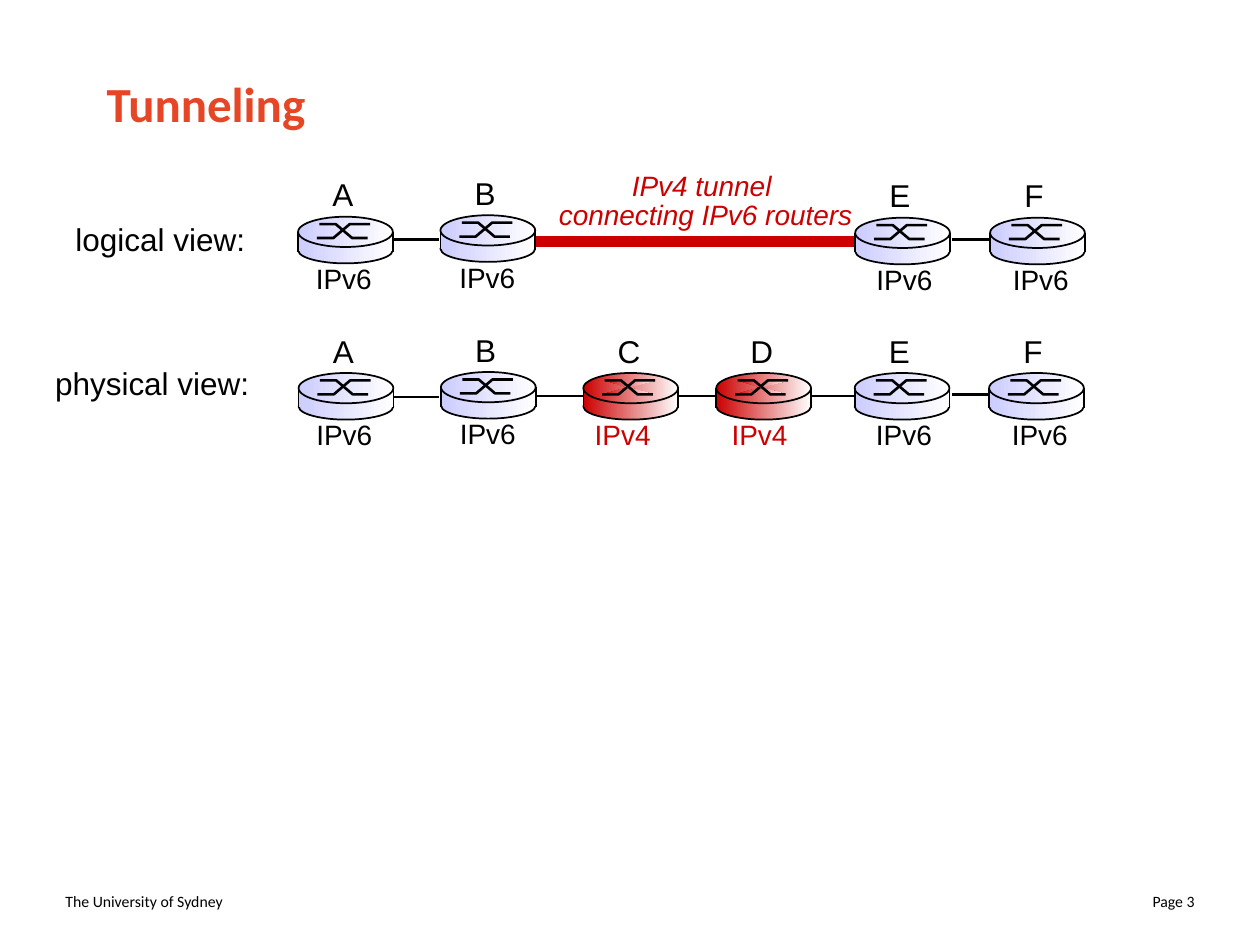
"""Build the tunneling slide with its logical and physical views."""
from lxml.etree import SubElement
from pptx import Presentation
from pptx.dml.color import RGBColor as RGB
from pptx.enum.shapes import MSO_CONNECTOR as LINK, MSO_SHAPE as SHAPE
from pptx.enum.text import MSO_ANCHOR as ANCHOR, MSO_AUTO_SIZE as AUTO, PP_ALIGN as ALIGN
from pptx.oxml.ns import qn
from pptx.util import Cm, Pt

HUES = {"ink": "000000", "red": "CC0000", "blue": "CCCCFF",
        "white": "FFFFFF", "title": "E64626"}
WIDE = 1.91
CROSS = (((0.38, 0.43), (0.71, 0.43), (1.04, 0.15), (1.45, 0.15)),
         ((0.43, 0.15), (0.76, 0.15), (1.09, 0.43), (1.4, 0.43)))
LOGIC = (("A", 6.01, 4.37, 0.93), ("B", 8.88, 4.34, 0.95),
         ("E", 17.24, 4.39, 1.0), ("F", 19.96, 4.39, 1.03))
REAL = (("A", 6.02, 7.52, 0.93), ("B", 8.89, 7.5, 0.95),
        ("C", 11.76, 7.52, 0.8), ("D", 14.44, 7.52, 0.88),
        ("E", 17.23, 7.52, 1.0), ("F", 19.94, 7.52, 1.03))


def hue(name):
    return RGB.from_string(HUES[name])


def text(shapes, words, box, size=18, font="Arial", color="ink", bold=False,
         italic=False, align=ALIGN.LEFT, space=None, wrap=False):
    item = shapes.add_textbox(*map(Cm, box))
    frame = item.text_frame
    frame.word_wrap = wrap
    if wrap:
        frame.vertical_anchor = ANCHOR.MIDDLE
    else:
        frame.auto_size = AUTO.SHAPE_TO_FIT_TEXT
    frame.text = words
    for para in frame.paragraphs:
        para.alignment = align
        para.line_spacing = space
        style = para.runs[0].font
        style.name, style.size = font, Pt(size)
        style.bold, style.italic = bold, italic
        style.color.rgb = hue(color)


def stroke(item, color="ink", width=1):
    item.line.color.rgb = hue(color)
    item.line.width = Pt(width)


def line(shapes, start, end, width=1.5):
    item = shapes.add_connector(LINK.STRAIGHT, *map(Cm, start + end))
    stroke(item, width=width)
    SubElement(item._element.spPr, qn("a:effectLst"))


def fade(item, color):
    item.shadow.inherit = False
    item.fill.gradient()
    item.fill.gradient_angle = 0
    for stop, name in zip(item.fill.gradient_stops, (color, "white")):
        stop.color.rgb = hue(name)


def part(shapes, kind, box, color, edge=True):
    item = shapes.add_shape(kind, *map(Cm, box))
    fade(item, color)
    if edge:
        stroke(item)
    else:
        item.line.fill.background()


def bend(shapes, x, y, points, color):
    spots = [(Cm(x + dx), Cm(y + dy)) for dx, dy in points]
    pen = shapes.build_freeform(*spots[0])
    pen.add_line_segments(spots[1:], close=False)
    item = pen.convert_to_shape()
    item.shadow.inherit = False
    if color == "red":
        fade(item, color)
    else:
        item.fill.background()
    stroke(item, width=1.5)


def router(shapes, name, x, y, mid):
    old = name in "CD"
    color = "red" if old else "blue"
    body = shapes.add_group_shape().shapes
    part(body, SHAPE.OVAL, (x, y + 0.41, WIDE, 0.53), color)
    part(body, SHAPE.RECTANGLE, (x, y + 0.36, WIDE, 0.33), color, edge=False)
    part(body, SHAPE.OVAL, (x, y, WIDE, 0.61), color)
    for points in CROSS:
        bend(body, x, y, points, color)
    for side in (x, x + WIDE):
        line(body, (side, y + 0.3), (side, y + 0.7), width=1)
    text(shapes, name, (x + 0.44, y - 0.96, 0.94, 1.02))
    text(shapes, "IPv4" if old else "IPv6", (x + mid - 0.82, y + 0.78, 1.65, 0.94),
         size=16, color="red" if old else "ink")


def tunnel(shapes):
    bar = shapes.add_shape(SHAPE.RECTANGLE, *map(Cm, (10.69, 4.78, 6.68, 0.18)))
    bar.shadow.inherit = False
    bar.fill.solid()
    bar.fill.fore_color.rgb = hue("red")
    stroke(bar, "red", 0.75)
    text(shapes, "IPv4 tunnel \nconnecting IPv6 routers", (11, 3.38, 6.45, 1.42),
         size=16, color="red", italic=True, align=ALIGN.CENTER, space=0.85)


def main():
    deck = Presentation()
    deck.slide_width, deck.slide_height = Cm(25.4), Cm(19.05)
    shapes = deck.slides.add_slide(deck.slide_layouts[6]).shapes
    text(shapes, "Tunneling", (1.9, 1.57, 21.6, 1.02), size=28, font="Calibri",
         color="title", bold=True, wrap=True)
    text(shapes, "logical view:", (1.27, 4.32, 3.94, 1.02))
    text(shapes, "physical view:", (0.86, 7.21, 4.42, 1.02))
    tunnel(shapes)
    for left, right, y in ((7.95, 8.84, 4.83), (19.2, 20.12, 4.83),
                           (7.95, 8.84, 8), (10.82, 17.27, 7.98), (19.2, 20.1, 7.95)):
        line(shapes, (left, y), (right, y))
    for spot in LOGIC + REAL:
        router(shapes, *spot)
    for words, x, align in (("The University of Sydney", 1.07, ALIGN.LEFT),
                            ("Page 3", 18.41, ALIGN.RIGHT)):
        text(shapes, words, (x, 17.65, 5.92, 1.02), size=9, font="Calibri",
             align=align, wrap=True)
    deck.save("out.pptx")


if __name__ == "__main__":
    main()
